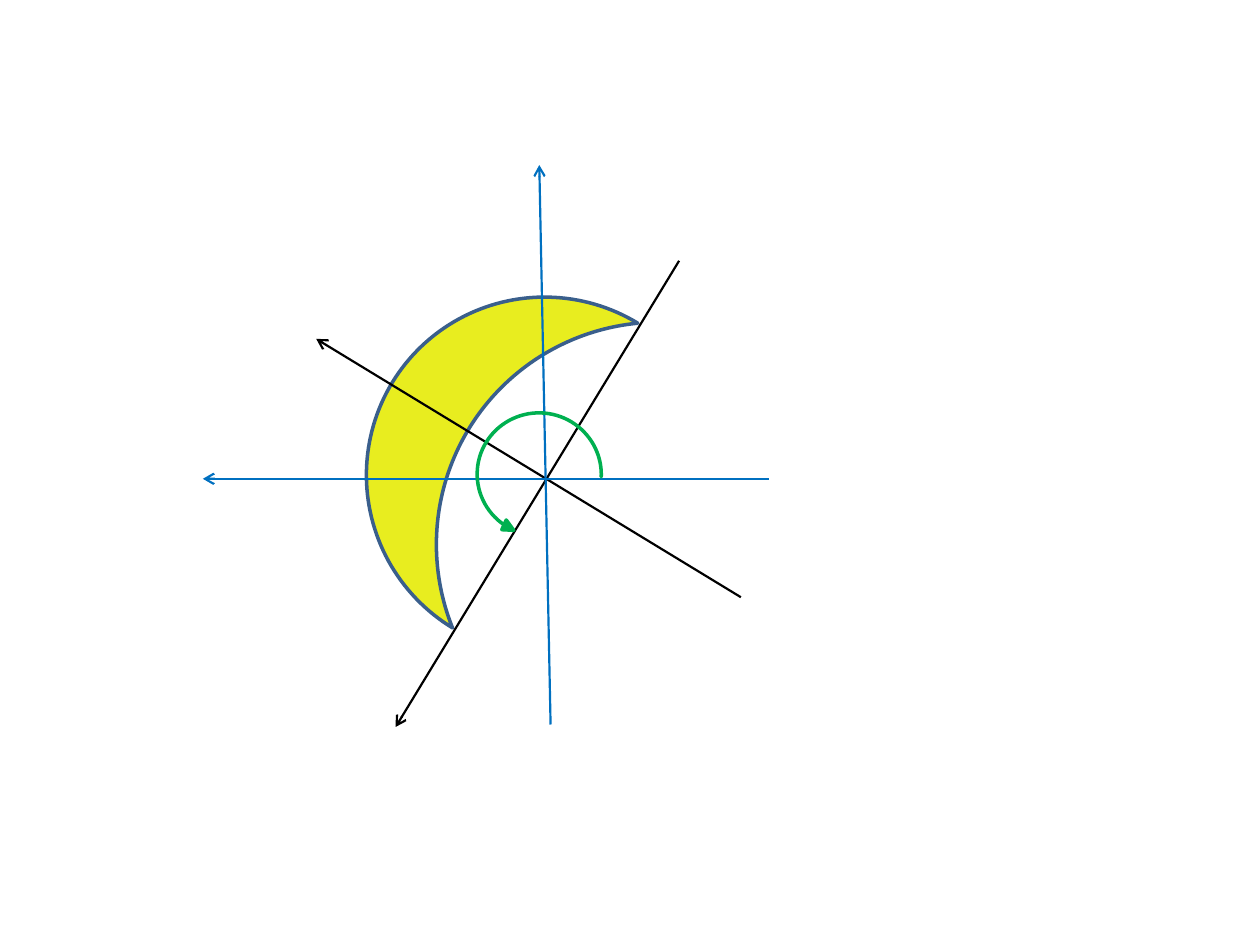
from dataclasses import dataclass

from lxml.etree import SubElement
from pptx import Presentation
from pptx.dml.color import RGBColor
from pptx.enum.shapes import MSO_CONNECTOR, MSO_SHAPE
from pptx.oxml.ns import qn
from pptx.util import Inches, Pt


@dataclass(frozen=True)
class Theme:
    moon_fill: RGBColor = RGBColor(0xE8, 0xED, 0x1F)
    moon_line: RGBColor = RGBColor(0x3A, 0x5F, 0x8C)
    moon_axis: RGBColor = RGBColor(0x00, 0x00, 0x00)
    fixed_axis: RGBColor = RGBColor(0x00, 0x70, 0xC0)
    rotation: RGBColor = RGBColor(0x00, 0xB0, 0x50)
    outline_width: float = 2
    axis_width: float = 1.25


THEME = Theme()


def add_axis(shapes, start, end, color):
    """Draw a straight axis with an open arrowhead at its end."""
    axis = shapes.add_connector(
        MSO_CONNECTOR.STRAIGHT, *(Inches(value) for value in start + end))
    axis.line.color.rgb = color
    axis.line.width = Pt(THEME.axis_width)
    SubElement(axis.line._get_or_add_ln(), qn("a:tailEnd"), type="arrow")
    SubElement(axis._element.spPr, qn("a:effectLst"))


def add_mirrored_shape(shapes, kind, bounds, rotation, fill, line):
    """Draw a preset shape flipped left to right, then rotated."""
    shape = shapes.add_shape(kind, *(Inches(value) for value in bounds))
    shape.rotation = rotation
    shape._element.spPr.xfrm.set("flipH", "1")
    shape.shadow.inherit = False
    shape.fill.solid()
    shape.fill.fore_color.rgb = fill
    shape.line.color.rgb = line
    shape.line.width = Pt(THEME.outline_width)
    return shape


def main():
    deck = Presentation()
    deck.slide_width, deck.slide_height = Inches(10), Inches(7.5)
    page = deck.slides.add_slide(deck.slide_layouts[6])

    # Crescent together with its own tilted axes
    crescent = page.shapes.add_group_shape().shapes
    add_mirrored_shape(crescent, MSO_SHAPE.MOON, (3.01, 1.99, 1.42, 2.83),
                       211.3, THEME.moon_fill, THEME.moon_line)
    add_axis(crescent, (5.39, 2.07), (3.14, 5.77), THEME.moon_axis)
    add_axis(crescent, (5.88, 4.74), (2.51, 2.69), THEME.moon_axis)

    # Fixed reference axes
    add_axis(page.shapes, (6.1, 3.8), (1.61, 3.8), THEME.fixed_axis)
    add_axis(page.shapes, (4.37, 5.75), (4.28, 1.31), THEME.fixed_axis)

    # Rotation angle between the two sets of axes
    angle = add_mirrored_shape(
        page.shapes, MSO_SHAPE.CIRCULAR_ARROW, (3.75, 3.23, 1.06, 1.07),
        278.8, THEME.rotation, THEME.rotation)
    for index, value in enumerate((0, 6.26, 200.37, 57.83, 0.04)):
        angle.adjustments[index] = value

    deck.save("out.pptx")


if __name__ == "__main__":
    main()
